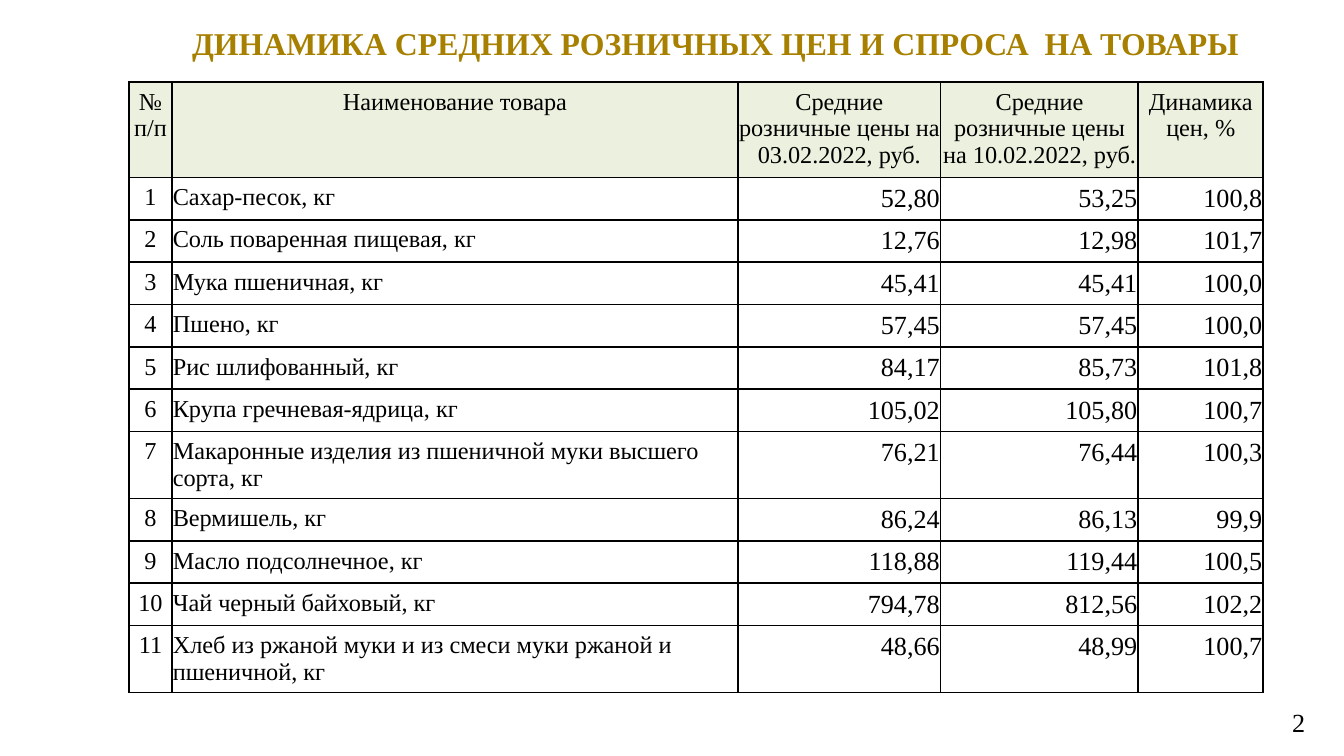
from pptx import Presentation
from pptx.dml.color import RGBColor
from pptx.enum.text import MSO_ANCHOR, PP_ALIGN
from pptx.oxml import parse_xml
from pptx.oxml.ns import nsdecls
from pptx.util import Inches, Pt

LEFT, CENTER, RIGHT = PP_ALIGN.LEFT, PP_ALIGN.CENTER, PP_ALIGN.RIGHT
MIDDLE = MSO_ANCHOR.MIDDLE
FONT = "Times New Roman"
BLACK, WHITE, GOLD, PALE_GREEN = "000000", "FFFFFF", "A88000", "EBF1DE"

TITLE = "ДИНАМИКА СРЕДНИХ РОЗНИЧНЫХ ЦЕН И СПРОСА  НА ТОВАРЫ"
PAGE = "2"
HEADERS = ["№ п/п", "Наименование товара",
           "Средние розничные цены на 03.02.2022, руб.",
           "Средние розничные цены на 10.02.2022, руб.",
           "Динамика цен, %"]
GOODS = [
    ("Сахар-песок, кг", "52,80", "53,25", "100,8"),
    ("Соль поваренная пищевая, кг", "12,76", "12,98", "101,7"),
    ("Мука пшеничная, кг", "45,41", "45,41", "100,0"),
    ("Пшено, кг", "57,45", "57,45", "100,0"),
    ("Рис шлифованный, кг", "84,17", "85,73", "101,8"),
    ("Крупа гречневая-ядрица, кг", "105,02", "105,80", "100,7"),
    ("Макаронные изделия из пшеничной муки высшего сорта, кг",
     "76,21", "76,44", "100,3"),
    ("Вермишель, кг", "86,24", "86,13", "99,9"),
    ("Масло подсолнечное, кг", "118,88", "119,44", "100,5"),
    ("Чай черный байховый, кг", "794,78", "812,56", "102,2"),
    ("Хлеб из ржаной муки и из смеси муки ржаной и пшеничной, кг",
     "48,66", "48,99", "100,7"),
]
COL_WIDTHS = [0.32, 4.21, 1.51, 1.47, 0.93]
COL_ALIGNS = [CENTER, LEFT, RIGHT, RIGHT, RIGHT]
COL_SIZES = [13, 13, 14, 14, 14]
HEADER_HEIGHT, LINE_HEIGHT, TWO_LINE_HEIGHT = 0.71, 0.31, 0.48
LONG_NAME = 45  # more characters than this take two lines


def rgb(color):
    return RGBColor.from_string(color)


def write(tf, text, size, align, color=BLACK, bold=False):
    tf.text = text
    tf.word_wrap = True
    p = tf.paragraphs[0]
    p.alignment = align
    font = p.runs[0].font
    font.name, font.size, font.bold = FONT, Pt(size), bold
    font.color.rgb = rgb(color)


def add_borders(cell, width=Pt(0.96)):
    tc_pr = cell._tc.get_or_add_tcPr()
    for i, side in enumerate(("lnL", "lnR", "lnT", "lnB")):
        tc_pr.insert(i, parse_xml(
            f'<a:{side} {nsdecls("a")} w="{width}"><a:solidFill>'
            f'<a:srgbClr val="{BLACK}"/></a:solidFill></a:{side}>'))


def fill_cell(cell, text, size, align, fill):
    write(cell.text_frame, text, size, align)
    cell.margin_left = cell.margin_right = Pt(0.5)
    cell.margin_top = cell.margin_bottom = Inches(0.05)
    cell.fill.solid()
    cell.fill.fore_color.rgb = rgb(fill)
    add_borders(cell)


prs = Presentation()
prs.slide_width = Inches(10)
prs.slide_height = prs.slide_width * 9 // 16
s = prs.slides.add_slide(prs.slide_layouts[5])

title = s.shapes.title
title.left, title.top = Inches(1.11), Inches(0.12)
title.width, title.height = Inches(8.62), Inches(0.39)
write(title.text_frame, TITLE, 17, CENTER, GOLD, bold=True)
title.text_frame.vertical_anchor = MIDDLE
title.text_frame.margin_right = Inches(0.29)

heights = [HEADER_HEIGHT] + [
    TWO_LINE_HEIGHT if len(name) > LONG_NAME else LINE_HEIGHT
    for name, *_ in GOODS]
table = s.shapes.add_table(
    len(heights), len(COL_WIDTHS), Inches(0.96), Inches(0.61),
    Inches(sum(COL_WIDTHS)), Inches(sum(heights))).table
for column, width in zip(table.columns, COL_WIDTHS):
    column.width = Inches(width)
for row, height in zip(table.rows, heights):
    row.height = Inches(height)

for c, header in enumerate(HEADERS):
    fill_cell(table.cell(0, c), header, 13, CENTER, PALE_GREEN)
for r, item in enumerate(GOODS, start=1):
    for c, text in enumerate((str(r), *item)):
        fill_cell(table.cell(r, c), text, COL_SIZES[c], COL_ALIGNS[c], WHITE)

page = s.shapes.add_textbox(Inches(9.34), Inches(5.21), Inches(0.47), Inches(0.27))
write(page.text_frame, PAGE, 14, RIGHT)

prs.save("out.pptx")
